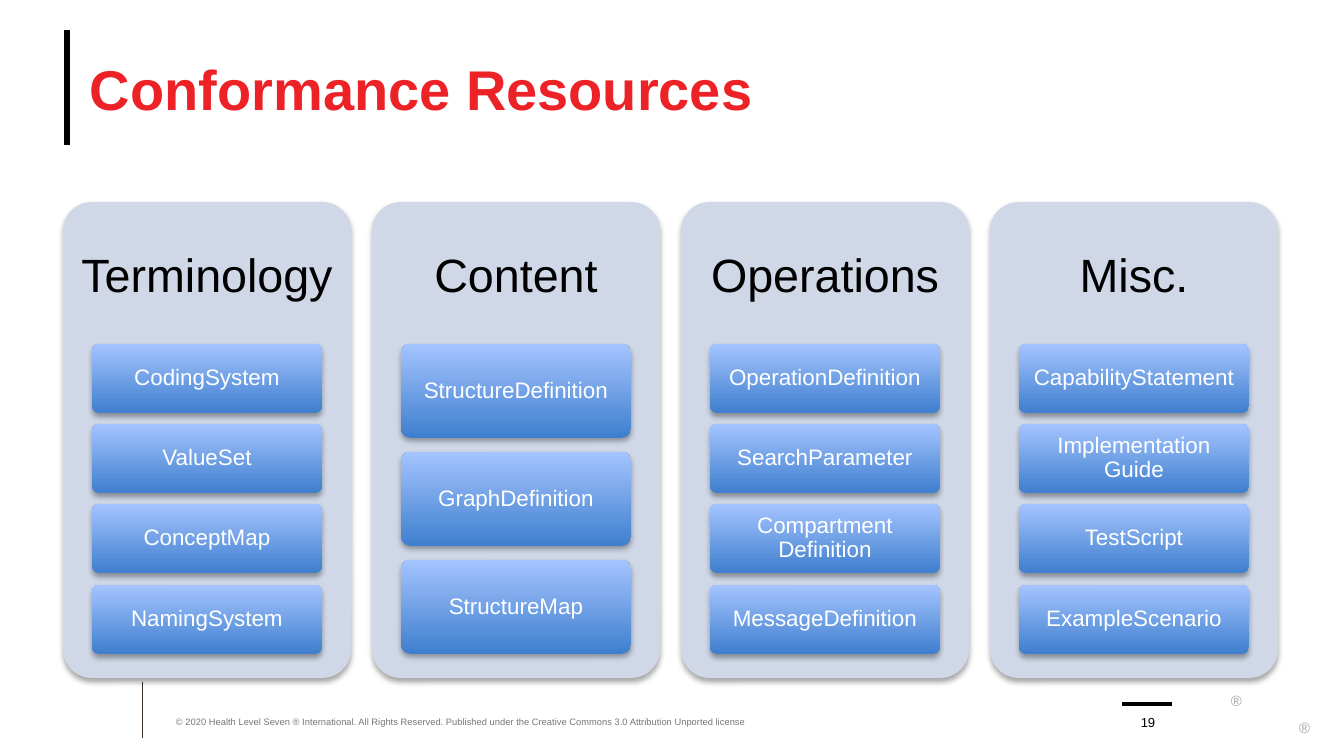
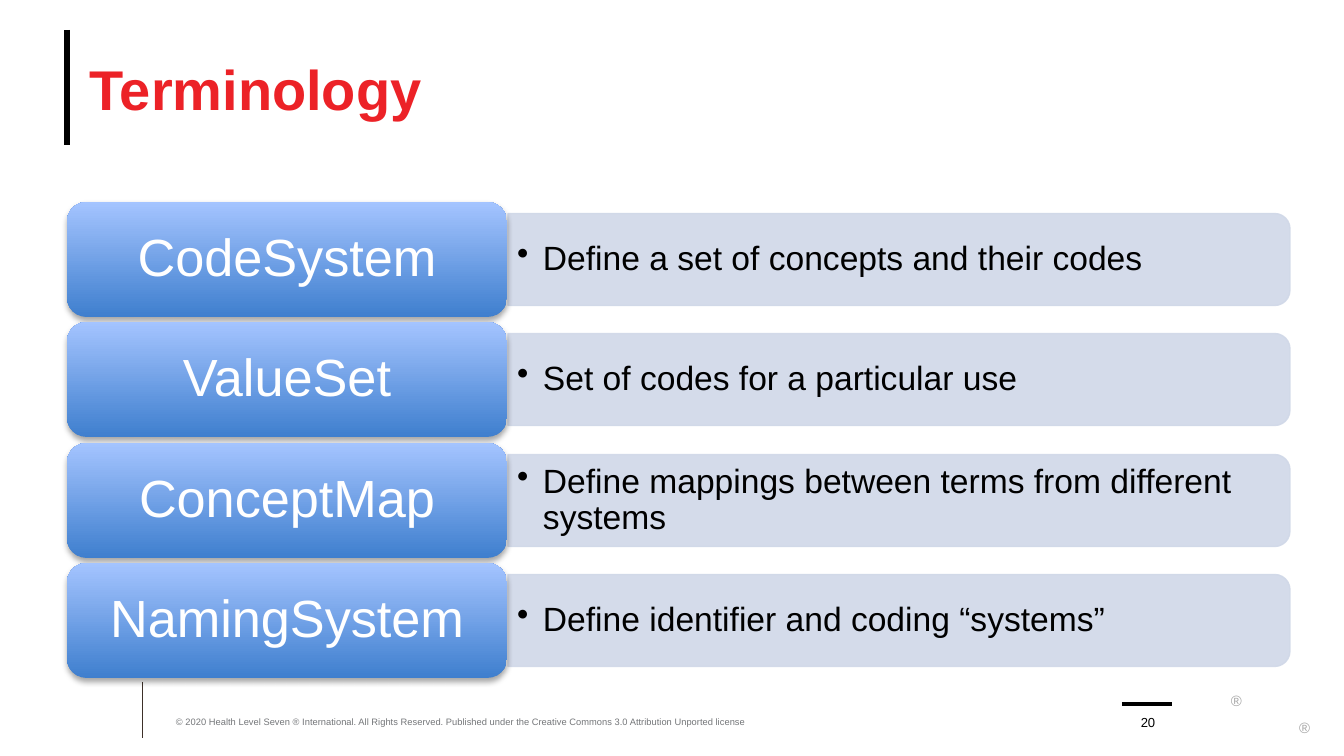
import pptx
import pptx.util
import pptx.dml.color
import pptx.enum.shapes
import pptx.enum.text
import pptx.oxml.ns
import lxml.etree

PX = 914400 / 134.4  # EMU in one px
FONT = "Arial"
RED = pptx.dml.color.RGBColor(0xEC, 0x22, 0x27)
BLACK = pptx.dml.color.RGBColor(0, 0, 0)
WHITE = pptx.dml.color.RGBColor(0xFF, 0xFF, 0xFF)
BROWN = pptx.dml.color.RGBColor(0x3D, 0x30, 0x29)
GREY = pptx.dml.color.RGBColor(0x74, 0x76, 0x79)
LIGHT_GREY = pptx.dml.color.RGBColor(0xA6, 0xA6, 0xA6)
PALE = pptx.dml.color.RGBColor(0xD0, 0xD8, 0xE8)
BLUE_LOW = pptx.dml.color.RGBColor(0x3F, 0x7F, 0xCE)
BLUE_HIGH = pptx.dml.color.RGBColor(0xA4, 0xC4, 0xFF)

SHAPE = pptx.enum.shapes.MSO_SHAPE
ANCHOR = pptx.enum.text.MSO_ANCHOR
ALIGN = pptx.enum.text.PP_ALIGN
qn = pptx.oxml.ns.qn

COPYRIGHT = ("© 2020 Health Level Seven ® International. All Rights Reserved. "
             "Published under the Creative Commons 3.0 Attribution Unported license")


def write(shape, text, size, color, margins=(0, 0, 0, 0), anchor=ANCHOR.MIDDLE,
          align=ALIGN.LEFT, bold=False, spacing=None, bullet=None):
    """Fill a shape with one paragraph; margins are left, top, right, bottom in px."""
    frame = shape.text_frame
    frame.word_wrap = True
    frame.vertical_anchor = anchor
    (frame.margin_left, frame.margin_top,
     frame.margin_right, frame.margin_bottom) = [round(m * PX) for m in margins]
    paragraph = frame.paragraphs[0]
    paragraph.text = text
    if bullet:
        properties = paragraph._p.get_or_add_pPr()
        properties.set("marL", str(round(26 * PX)))
        properties.set("indent", str(round(-26 * PX)))
        lxml.etree.SubElement(properties, qn("a:buChar"), char=bullet)
    paragraph.alignment = align
    if spacing:
        paragraph.line_spacing = spacing
    paragraph.font.name = FONT
    paragraph.font.size = pptx.util.Pt(size)
    paragraph.font.bold = bold
    paragraph.font.color.rgb = color


def add_block(slide, box, corner, fill=None):
    """Add a shadowed rounded block; blue gradient unless a plain fill is given."""
    block = slide.shapes.add_shape(SHAPE.ROUNDED_RECTANGLE, *[round(v * PX) for v in box])
    block.adjustments[0] = corner
    if fill:
        block.fill.solid()
        block.fill.fore_color.rgb = fill
    else:
        block.fill.gradient()
        block.fill.gradient_angle = 90
        for stop, color in zip(block.fill.gradient_stops, (BLUE_LOW, BLUE_HIGH)):
            stop.color.rgb = color
    block.line.fill.background()
    block.shadow.inherit = False
    effects = block._element.spPr.find(qn("a:effectLst"))
    shadow = lxml.etree.SubElement(effects, qn("a:outerShdw"), blurRad="39400",
                                   dist="22900", dir="5400000", rotWithShape="0")
    black = lxml.etree.SubElement(shadow, qn("a:srgbClr"), val="000000")
    lxml.etree.SubElement(black, qn("a:alpha"), val="35000")
    return block


deck = pptx.Presentation()
deck.slide_width = round(1344 * PX)
deck.slide_height = round(756 * PX)

# Shared frame: rules, marks, title, footer
slides = []
for number, title in ((19, "Conformance Resources"), (20, "Terminology")):
    slide = deck.slides.add_slide(deck.slide_layouts[6])
    slides.append(slide)
    for x1, y1, x2, y2, color, weight in (
        (67, 30, 67, 145, BLACK, 3.25),
        (143, 682, 143, 738, BROWN, 0.5),
        (1122, 704, 1172, 704, BLACK, 2),
    ):
        rule = slide.shapes.add_connector(pptx.enum.shapes.MSO_CONNECTOR.STRAIGHT,
                                          *[round(v * PX) for v in (x1, y1, x2, y2)])
        rule.line.color.rgb = color
        rule.line.width = pptx.util.Pt(weight)
        lxml.etree.SubElement(rule._element.spPr, qn("a:effectLst"))
    for box, text, size, color, style in (
        ((1231, 685, 15, 12), "®", 8, LIGHT_GREY, dict(margins=(0, 7, 0, 0), anchor=ANCHOR.TOP)),
        ((1299, 712, 15, 12), "®", 8, LIGHT_GREY, dict(margins=(0, 7, 0, 0), anchor=ANCHOR.TOP)),
        ((90, 31, 1210, 115), title, 30, RED, dict(bold=True)),
        ((176, 704, 665, 23), COPYRIGHT, 5, GREY, dict(anchor=ANCHOR.BOTTOM)),
        ((1128, 704, 40, 26), str(number), 7, BLACK,
         dict(anchor=ANCHOR.BOTTOM, align=ALIGN.CENTER)),
    ):
        label = slide.shapes.add_textbox(*[round(v * PX) for v in box])
        write(label, text, size, color, **style)

resources_slide, terminology_slide = slides
TOP, HEIGHT = 202, 476  # content area of both slides

# Conformance Resources: four panels of cards
CARDS_TOP, CARDS_HEIGHT, GAP_RATIO = 344, 310, 0.154
panels = (
    ("Terminology", ("CodingSystem", "ValueSet", "ConceptMap", "NamingSystem")),
    ("Content", ("StructureDefinition", "GraphDefinition", "StructureMap")),
    ("Operations", ("OperationDefinition", "SearchParameter",
                    "Compartment Definition", "MessageDefinition")),
    ("Misc.", ("CapabilityStatement", "Implementation Guide",
               "TestScript", "ExampleScenario")),
)
for column, (heading, resources) in enumerate(panels):
    left = 63 + 309 * column
    panel = add_block(resources_slide, (left, TOP, 288, HEIGHT), 0.1, PALE)
    write(panel, heading, 25, BLACK, margins=(3, 5, 3, 331),
          align=ALIGN.CENTER, spacing=0.9)
    count = len(resources)
    card_height = CARDS_HEIGHT / (count + GAP_RATIO * (count - 1))
    for row, resource in enumerate(resources):
        card_top = round(CARDS_TOP + row * card_height * (1 + GAP_RATIO))
        card = add_block(resources_slide, (left + 29, card_top, 230, round(card_height)), 0.1)
        write(card, resource, 12, WHITE, margins=(6, 4, 6, 4),
              align=ALIGN.CENTER, spacing=0.9)

# Terminology: each resource with its purpose
TERM_LEFT, TERM_WIDTH, TERM_HEIGHT = 67, 440, 115
BAR_LEFT, BAR_LENGTH, BAR_HEIGHT = 508, 782, 92
terms = (
    ("CodeSystem", "Define a set of concepts and their codes"),
    ("ValueSet", "Set of codes for a particular use"),
    ("ConceptMap", "Define mappings between terms from different systems"),
    ("NamingSystem", "Define identifier and coding “systems”"),
)
pitch = (HEIGHT - TERM_HEIGHT) / (len(terms) - 1)
for row, (term, purpose) in enumerate(terms):
    top = round(TOP + row * pitch)
    middle = top + TERM_HEIGHT / 2
    # The bar stands upright and is turned so its round corners face right
    bar_box = (BAR_LEFT + BAR_LENGTH / 2 - BAR_HEIGHT / 2, middle - BAR_LENGTH / 2,
               BAR_HEIGHT, BAR_LENGTH)
    bar = terminology_slide.shapes.add_shape(SHAPE.ROUND_2_SAME_RECTANGLE,
                                             *[round(v * PX) for v in bar_box])
    bar.rotation = 90
    bar.shadow.inherit = False
    bar.line.width = pptx.util.Pt(0.75)
    for paint in (bar.fill, bar.line.fill):
        paint.solid()
        paint.fore_color.rgb = PALE
    for color in bar._element.spPr.iter(qn("a:srgbClr")):
        lxml.etree.SubElement(color, qn("a:alpha"), val="90000")
    note = terminology_slide.shapes.add_textbox(
        *[round(v * PX) for v in (BAR_LEFT, top + 16, 778, 83)])
    write(note, purpose, 18, BLACK, margins=(9, 5, 9, 5), spacing=0.9, bullet="•")
    block = add_block(terminology_slide, (TERM_LEFT, top, TERM_WIDTH, TERM_HEIGHT), 0.17)
    write(block, term, 28, WHITE, margins=(16, 8, 16, 8), align=ALIGN.CENTER, spacing=0.9)

deck.save("out.pptx")
